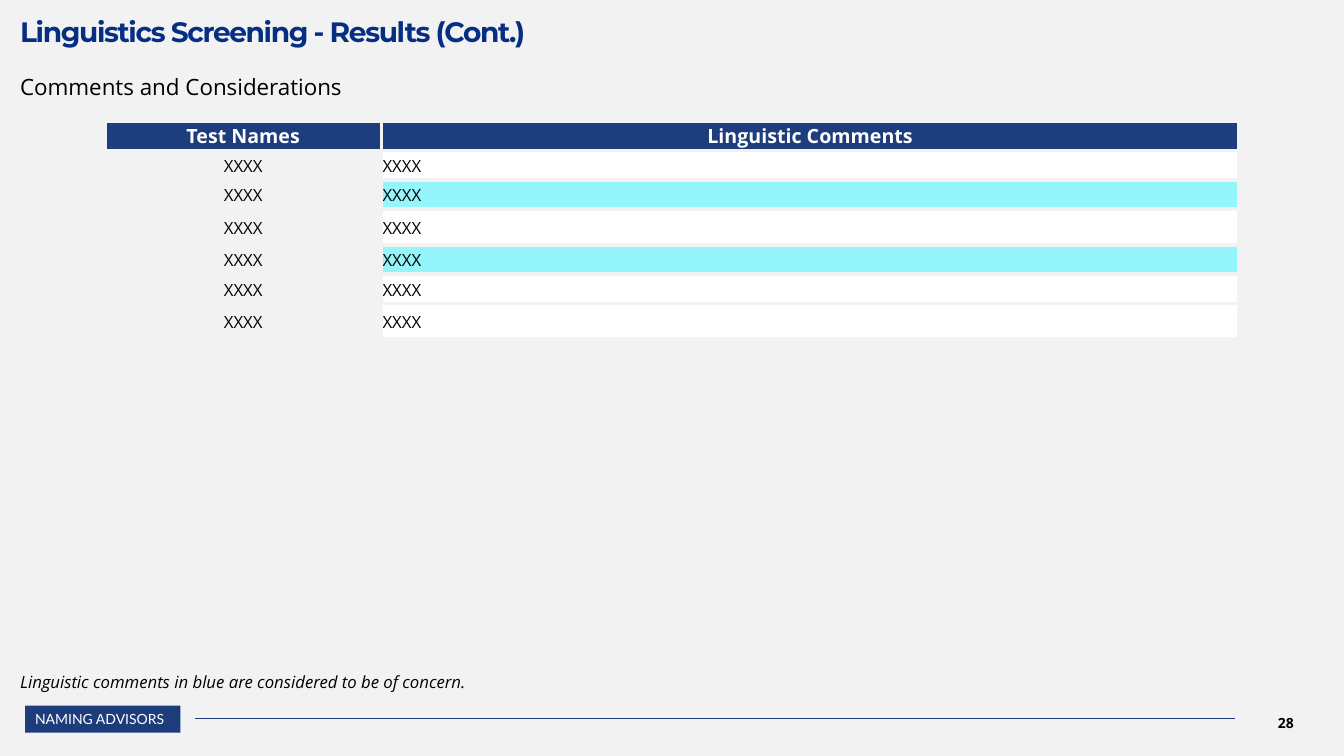
from lxml import etree
from pptx import Presentation
from pptx import util as u
from pptx.dml.color import RGBColor
from pptx.enum import shapes, text
from pptx.oxml import ns

Pt = u.Pt
BACKGROUND = RGBColor(0xF2, 0xF2, 0xF2)
NAVY = RGBColor(0x1D, 0x3C, 0x7C)
HEADER_BLUE = RGBColor(0x1D, 0x3D, 0x7C)
TITLE_BLUE = RGBColor(0x06, 0x2E, 0x83)
CONCERN_BLUE = RGBColor(0x94, 0xF5, 0xFA)
WHITE = RGBColor(0xFF, 0xFF, 0xFF)
BLACK = RGBColor(0, 0, 0)
LEFT, CENTER = text.PP_ALIGN.LEFT, text.PP_ALIGN.CENTER
TOP, MIDDLE = text.MSO_ANCHOR.TOP, text.MSO_ANCHOR.MIDDLE


def write(frame, words, size=12, font="Open Sans", color=BLACK, bold=False, italic=False,
          align=LEFT, line_spacing=1.0, tracking=0):
    para = frame.paragraphs[0]
    para.alignment = align
    para.line_spacing = line_spacing
    span = para.add_run()
    span.text = words
    span.font.size = Pt(size)
    span.font.name = font
    span.font.color.rgb = color
    span.font.bold = bold
    span.font.italic = italic
    if tracking:
        span._r.get_or_add_rPr().set("spc", str(tracking * 100))


def add_text(left, top, width, height, words, insets=(0, 0, 0, 0), anchor=TOP, **style):
    box = page.shapes.add_textbox(Pt(left), Pt(top), Pt(width), Pt(height))
    frame = box.text_frame
    frame.word_wrap = True
    frame.vertical_anchor = anchor
    frame.margin_left, frame.margin_top, frame.margin_right, frame.margin_bottom = map(Pt, insets)
    write(frame, words, **style)


deck = Presentation()
deck.slide_width, deck.slide_height = Pt(960), Pt(540)
page = deck.slides.add_slide(deck.slide_layouts[6])
page.background.fill.solid()
page.background.fill.fore_color.rgb = BACKGROUND

add_text(879, 502, 79, 29, "28", anchor=MIDDLE, size=10, bold=True, align=CENTER)

tag = page.shapes.add_shape(shapes.MSO_SHAPE.RECTANGLE, Pt(18), Pt(504), Pt(110.9), Pt(19.4))
tag.shadow.inherit = False
tag.fill.solid()
tag.fill.fore_color.rgb = NAVY
tag.line.fill.background()
tag.text_frame.vertical_anchor = MIDDLE
write(tag.text_frame, "NAMING ADVISORS", size=10, font="Lato", color=WHITE)

rule = page.shapes.add_connector(shapes.MSO_CONNECTOR.STRAIGHT, Pt(139), Pt(512.8), Pt(882.5), Pt(512.8))
rule.line.color.rgb = NAVY
rule.line.width = Pt(0.5)
etree.SubElement(rule._element.spPr, ns.qn("a:effectLst"))

add_text(14.4, 0, 923, 34.6, "Linguistics Screening - Results (Cont.)", insets=(0, 15.1, 0, 0),
         size=20, font="Montserrat", color=TITLE_BLUE, bold=True, line_spacing=0.8, tracking=-1)
add_text(14.4, 47.5, 923, 19.4, "Comments and Considerations", size=16, line_spacing=1.25)
add_text(14.4, 476, 389, 19.4, "Linguistic comments in blue are considered to be of concern.",
         insets=(0, 3.6, 7.2, 3.6), italic=True)

rows = [("Test Names", "Linguistic Comments")] + [("XXXX", "XXXX")] * 6
row_heights = [21, 21, 21, 25.5, 21, 21, 25.5]
column_widths = [197.5, 612.5]
concern_rows = {2, 4}

grid = page.shapes.add_table(len(rows), len(column_widths), Pt(75), Pt(86.5),
                             Pt(sum(column_widths)), Pt(sum(row_heights))).table
grid.first_row = grid.horz_banding = False
for column, width in zip(grid.columns, column_widths):
    column.width = Pt(width)
for row, height in zip(grid.rows, row_heights):
    row.height = Pt(height)

for r, row_words in enumerate(rows):
    for c, words in enumerate(row_words):
        header = r == 0
        cell = grid.cell(r, c)
        cell.vertical_anchor = MIDDLE
        cell.margin_left = cell.margin_top = cell.margin_right = Pt(0.75)
        cell.margin_bottom = Pt(0)
        cell.fill.solid()
        if header:
            cell.fill.fore_color.rgb = HEADER_BLUE
        elif c == 0:
            cell.fill.fore_color.rgb = BACKGROUND
        else:
            cell.fill.fore_color.rgb = CONCERN_BLUE if r in concern_rows else WHITE
        write(cell.text_frame, words, size=14 if header else 12, bold=header,
              color=WHITE if header else BLACK, align=CENTER if header or c == 0 else LEFT)
        properties = cell._tc.get_or_add_tcPr()
        for position, side in enumerate(("lnL", "lnR", "lnT", "lnB")):
            border = etree.Element(ns.qn("a:" + side), w=str(Pt(3)))
            fill = etree.SubElement(border, ns.qn("a:solidFill"))
            etree.SubElement(fill, ns.qn("a:srgbClr"), val=str(BACKGROUND))
            properties.insert(position, border)

deck.save("out.pptx")
